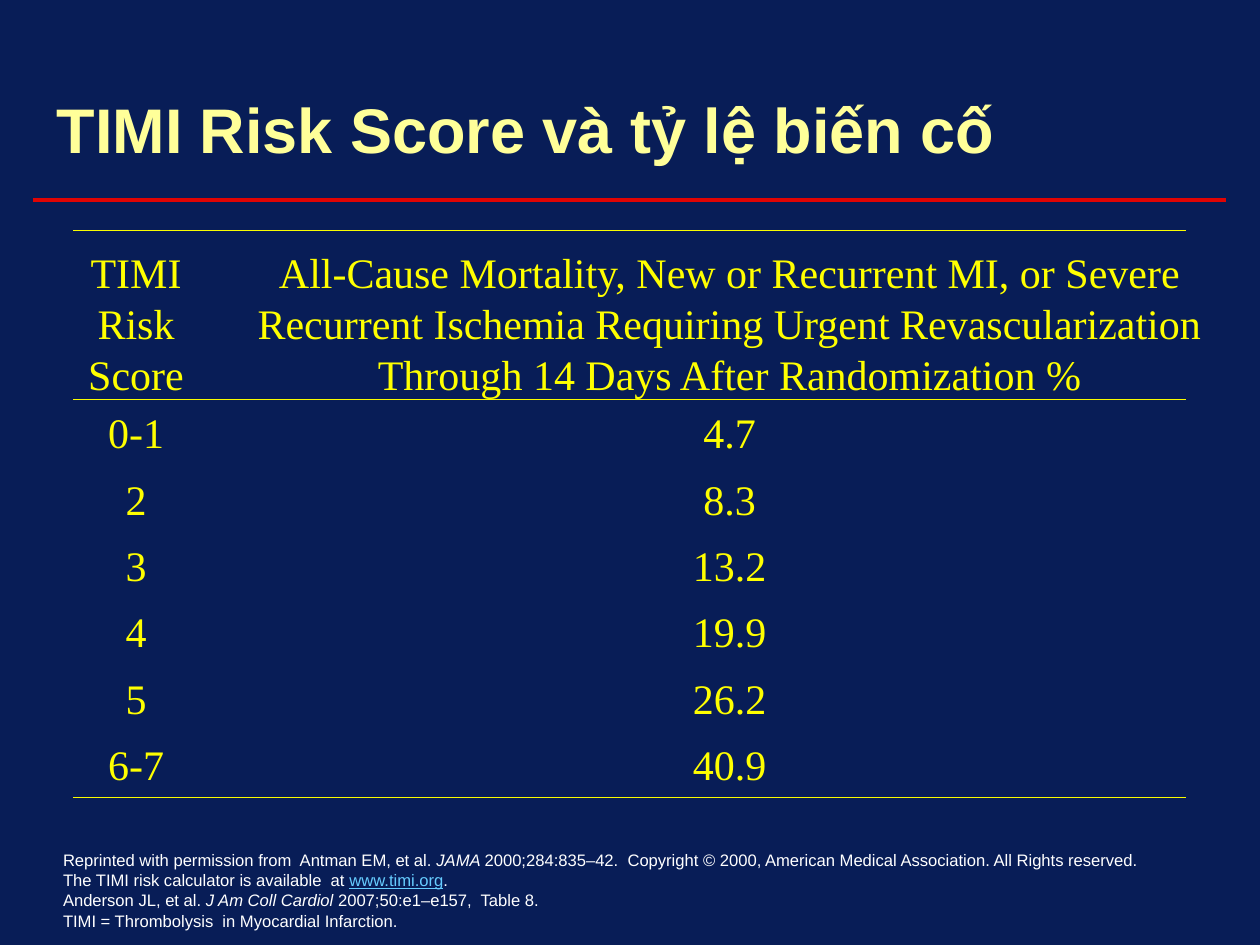
from pptx import Presentation
from pptx.dml.color import RGBColor
from pptx.enum.shapes import MSO_CONNECTOR
from pptx.enum.text import MSO_ANCHOR, MSO_AUTO_SIZE, PP_ALIGN
from pptx.oxml.ns import qn
from pptx.util import Inches, Pt
from lxml.etree import SubElement

COLORS = {
    "navy": "081D57",
    "red": "E00404",
    "rule": "F9FC00",
    "title": "FFFF99",
    "table": "FFFF00",
    "note": "FFFFFF",
    "link": "66CCFF",
}
TITLE = "TIMI Risk Score và tỷ lệ biến cố"
HEADER = [
    ["TIMI", "Risk", "Score"],
    [
        "All-Cause Mortality, New or Recurrent MI, or Severe",
        "Recurrent Ischemia Requiring Urgent Revascularization",
        "Through 14 Days After Randomization %",
    ],
]
RATES = [
    ("0-1", "4.7"),
    ("2", "8.3"),
    ("3", "13.2"),
    ("4", "19.9"),
    ("5", "26.2"),
    ("6-7", "40.9"),
]
NOTES = [
    [
        ("Reprinted with permission from  Antman EM, et al. ", "plain"),
        ("JAMA ", "italic"),
        ("2000;284:835–42.  Copyright © 2000, American Medical Association. All Rights reserved.", "plain"),
    ],
    [
        ("The TIMI risk calculator is available  at ", "plain"),
        ("www.timi.org", "link"),
        (".", "plain"),
    ],
    [
        ("Anderson JL, et al. ", "plain"),
        ("J Am Coll Cardiol ", "italic"),
        ("2007;50:e1–e157,  Table 8.", "plain"),
    ],
    [("TIMI = Thrombolysis  in Myocardial Infarction.", "plain")],
]
TABLE_LEFT, TABLE_RIGHT = 0.58, 9.41
TABLE_TOP, HEADER_BOTTOM, TABLE_BOTTOM = 1.83, 3.17, 6.33
COLUMN_WIDTHS = [1.0, 8.42]
RULES = [(0.26, 9.73, 1.59, "red", 2.25)] + [
    (TABLE_LEFT, TABLE_RIGHT, y, "rule", 0.75)
    for y in (TABLE_TOP, HEADER_BOTTOM, TABLE_BOTTOM)
]
NO_STYLE = "{2D5ABB26-0587-4C30-8999-92F81FD0307C}"


def color(name):
    return RGBColor.from_string(COLORS[name])


def add_span(para, text, font, size, color_name):
    span = para.add_run()
    span.text = text
    span.font.name = font
    span.font.size = Pt(size)
    span.font.color.rgb = color(color_name)
    return span


def clear_margins(target):
    target.margin_left = target.margin_right = 0
    target.margin_top = target.margin_bottom = 0


def add_lines(frame, count):
    return [frame.paragraphs[0]] + [frame.add_paragraph() for _ in range(count - 1)]


def add_title(page):
    title = page.shapes.title
    title.left, title.top = Inches(0.45), Inches(0.72)
    title.width, title.height = Inches(9), Inches(0.6)
    frame = title.text_frame
    clear_margins(frame)
    frame.auto_size = MSO_AUTO_SIZE.NONE
    frame.vertical_anchor = MSO_ANCHOR.TOP
    para = frame.paragraphs[0]
    para.alignment = PP_ALIGN.LEFT
    add_span(para, TITLE, "Arial", 36, "title").font.bold = True


def add_rule(page, left, right, y, color_name, weight):
    rule = page.shapes.add_connector(
        MSO_CONNECTOR.STRAIGHT, Inches(left), Inches(y), Inches(right), Inches(y)
    )
    rule.line.color.rgb = color(color_name)
    rule.line.width = Pt(weight)
    SubElement(rule._element.spPr, qn("a:effectLst"))


def fill_cell(cell, lines, anchor):
    clear_margins(cell)
    cell.fill.background()
    cell.vertical_anchor = anchor
    for para, line in zip(add_lines(cell.text_frame, len(lines)), lines):
        para.alignment = PP_ALIGN.CENTER
        para.line_spacing = Pt(29)
        add_span(para, line, "Times New Roman", 24, "table")


def add_risk_table(page):
    row_height = (TABLE_BOTTOM - HEADER_BOTTOM) / len(RATES)
    table = page.shapes.add_table(
        len(RATES) + 1, len(COLUMN_WIDTHS),
        Inches(TABLE_LEFT), Inches(TABLE_TOP),
        Inches(sum(COLUMN_WIDTHS)), Inches(TABLE_BOTTOM - TABLE_TOP),
    ).table
    table.horz_banding = False
    table._tbl.tblPr.find(qn("a:tableStyleId")).text = NO_STYLE
    for column, width in zip(table.columns, COLUMN_WIDTHS):
        column.width = Inches(width)
    for row in table.rows:
        row.height = Inches(row_height)
    table.rows[0].height = Inches(HEADER_BOTTOM - TABLE_TOP)
    for index, lines in enumerate(HEADER):
        fill_cell(table.cell(0, index), lines, MSO_ANCHOR.BOTTOM)
    for row_index, values in enumerate(RATES, start=1):
        for index, value in enumerate(values):
            fill_cell(table.cell(row_index, index), [value], MSO_ANCHOR.MIDDLE)


def add_notes(page):
    box = page.shapes.add_textbox(Inches(0.5), Inches(6.74), Inches(8.92), Inches(0.65))
    frame = box.text_frame
    frame.word_wrap = True
    clear_margins(frame)
    for para, spans in zip(add_lines(frame, len(NOTES)), NOTES):
        para.line_spacing = Pt(11.6)
        for text, style in spans:
            span = add_span(para, text, "Arial", 9.5, "link" if style == "link" else "note")
            span.font.italic = style == "italic"
            span.font.underline = style == "link"


def main():
    deck = Presentation()
    deck.slide_width, deck.slide_height = Inches(10), Inches(7.5)
    page = deck.slides.add_slide(deck.slide_layouts[5])
    page.background.fill.solid()
    page.background.fill.fore_color.rgb = color("navy")
    add_title(page)
    add_risk_table(page)
    for rule in RULES:
        add_rule(page, *rule)
    add_notes(page)
    deck.save("out.pptx")


if __name__ == "__main__":
    main()
